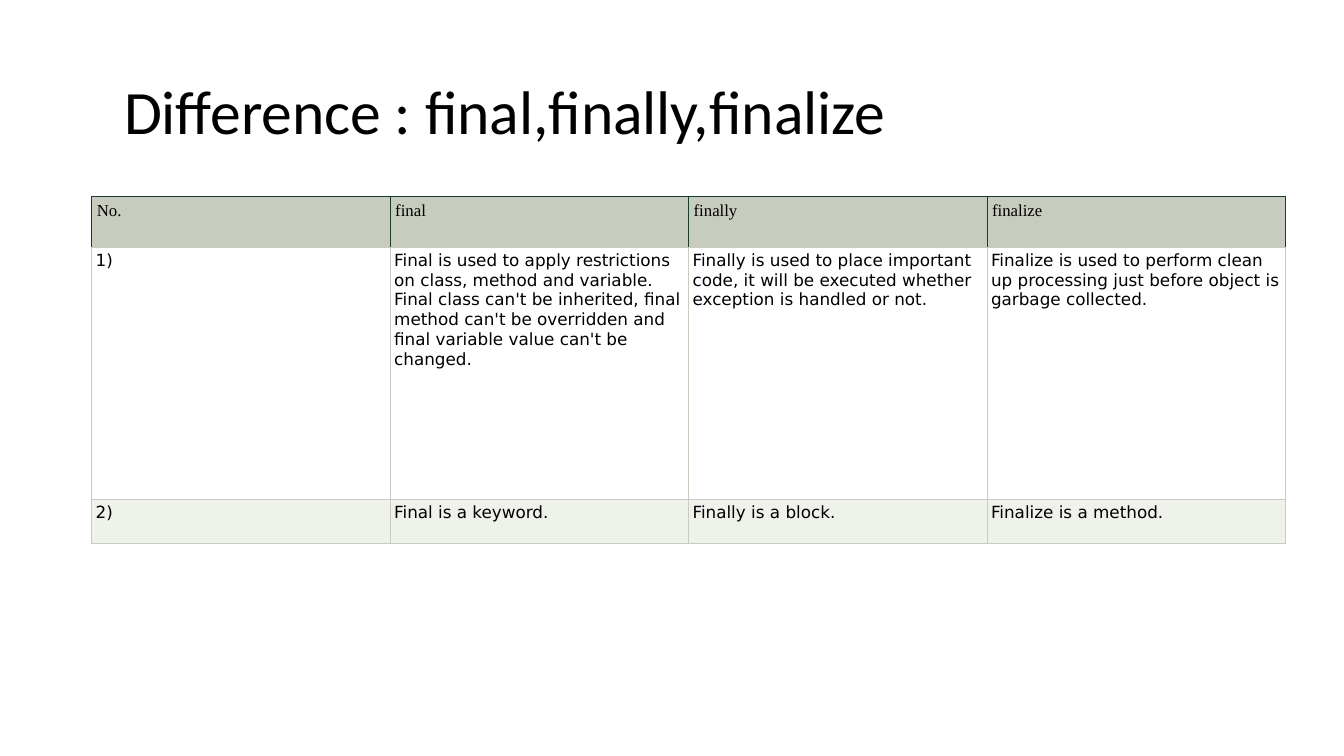
import pptx
import pptx.util
import pptx.dml.color
import pptx.enum.text
import pptx.oxml
import pptx.oxml.ns
from dataclasses import dataclass
from lxml import etree

Inches = pptx.util.Inches
Pt = pptx.util.Pt


@dataclass(frozen=True)
class Theme:
    ink: str = "000000"
    sage: str = "C7CCBE"
    pine: str = "183C2D"
    white: str = "FFFFFF"
    pale: str = "EFF1EB"
    head: str = "Times New Roman"
    body: str = "DejaVu Sans"
    title: str = "Calibri"
    small: int = 12
    large: int = 44


THEME = Theme()
ROWS = [
    ["No.", "final", "finally", "finalize"],
    [
        "1)",
        "Final is used to apply restrictions on class, method and variable. "
        "Final class can't be inherited, final method can't be overridden and "
        "final variable value can't be changed.",
        "Finally is used to place important code, it will be executed whether "
        "exception is handled or not.",
        "Finalize is used to perform clean up processing just before object is "
        "garbage collected.",
    ],
    ["2)", "Final is a keyword.", "Finally is a block.", "Finalize is a method."],
]
HEIGHTS = [0.5, 2.5, 0.44]
WIDTH = 2.96


def color(code):
    return pptx.dml.color.RGBColor.from_string(code)


def style(para, face, size):
    for run in para.runs:
        run.font.name = face
        run.font.size = Pt(size)
        run.font.bold = False
        run.font.color.rgb = color(THEME.ink)


def edge(cell, side, code):
    props = cell._tc.get_or_add_tcPr()
    line = etree.SubElement(props, pptx.oxml.ns.qn("a:ln" + side), w=str(Pt(0.5)))
    fill = etree.SubElement(line, pptx.oxml.ns.qn("a:solidFill"))
    etree.SubElement(fill, pptx.oxml.ns.qn("a:srgbClr"), val=code)


def add_title(slide, text):
    shape = slide.shapes.title
    shape.left, shape.top = Inches(1.21), Inches(0.78)
    shape.width, shape.height = Inches(9.22), Inches(0.69)
    frame = shape.text_frame
    frame.text = text
    frame.word_wrap = True
    frame.auto_size = pptx.enum.text.MSO_AUTO_SIZE.SHAPE_TO_FIT_TEXT
    frame.vertical_anchor = pptx.enum.text.MSO_ANCHOR.MIDDLE
    frame.margin_left = frame.margin_right = frame.margin_bottom = 0
    frame.margin_top = Inches(0.02)
    para = frame.paragraphs[0]
    para.alignment = pptx.enum.text.PP_ALIGN.LEFT
    para.line_spacing = 0.9
    para._p.get_or_add_pPr().set("marL", str(Inches(0.02)))
    style(para, THEME.title, THEME.large)
    para.runs[0].font._element.set("spc", "-10")


def fill_cell(cell, text, row):
    top = row == 0
    cell.text = text
    pad = Inches(0.05 if top else 0.04)
    cell.margin_left = cell.margin_right = pad
    cell.margin_top = cell.margin_bottom = pad
    cell.vertical_anchor = pptx.enum.text.MSO_ANCHOR.TOP
    for side in "LRTB":
        edge(cell, side, THEME.pine if top and side != "B" else THEME.sage)
    cell.fill.solid()
    cell.fill.fore_color.rgb = color((THEME.sage, THEME.white, THEME.pale)[row])
    face = THEME.head if top else THEME.body
    style(cell.text_frame.paragraphs[0], face, THEME.small)


def add_grid(slide, rows):
    count = len(rows[0])
    frame = slide.shapes.add_table(
        len(rows), count, Inches(0.91), Inches(1.95),
        Inches(WIDTH * count), Inches(sum(HEIGHTS)),
    )
    table = frame.table
    for col in table.columns:
        col.width = Inches(WIDTH)
    for row, texts in enumerate(rows):
        table.rows[row].height = Inches(HEIGHTS[row])
        for col, text in enumerate(texts):
            fill_cell(table.cell(row, col), text, row)


def main():
    deck = pptx.Presentation()
    deck.slide_width, deck.slide_height = Inches(13.33), Inches(7.5)
    slide = deck.slides.add_slide(deck.slide_layouts[5])
    slide.background.fill.solid()
    slide.background.fill.fore_color.rgb = color(THEME.white)
    add_grid(slide, ROWS)
    add_title(slide, "Difference : final,finally,finalize")
    deck.save("out.pptx")


if __name__ == "__main__":
    main()
